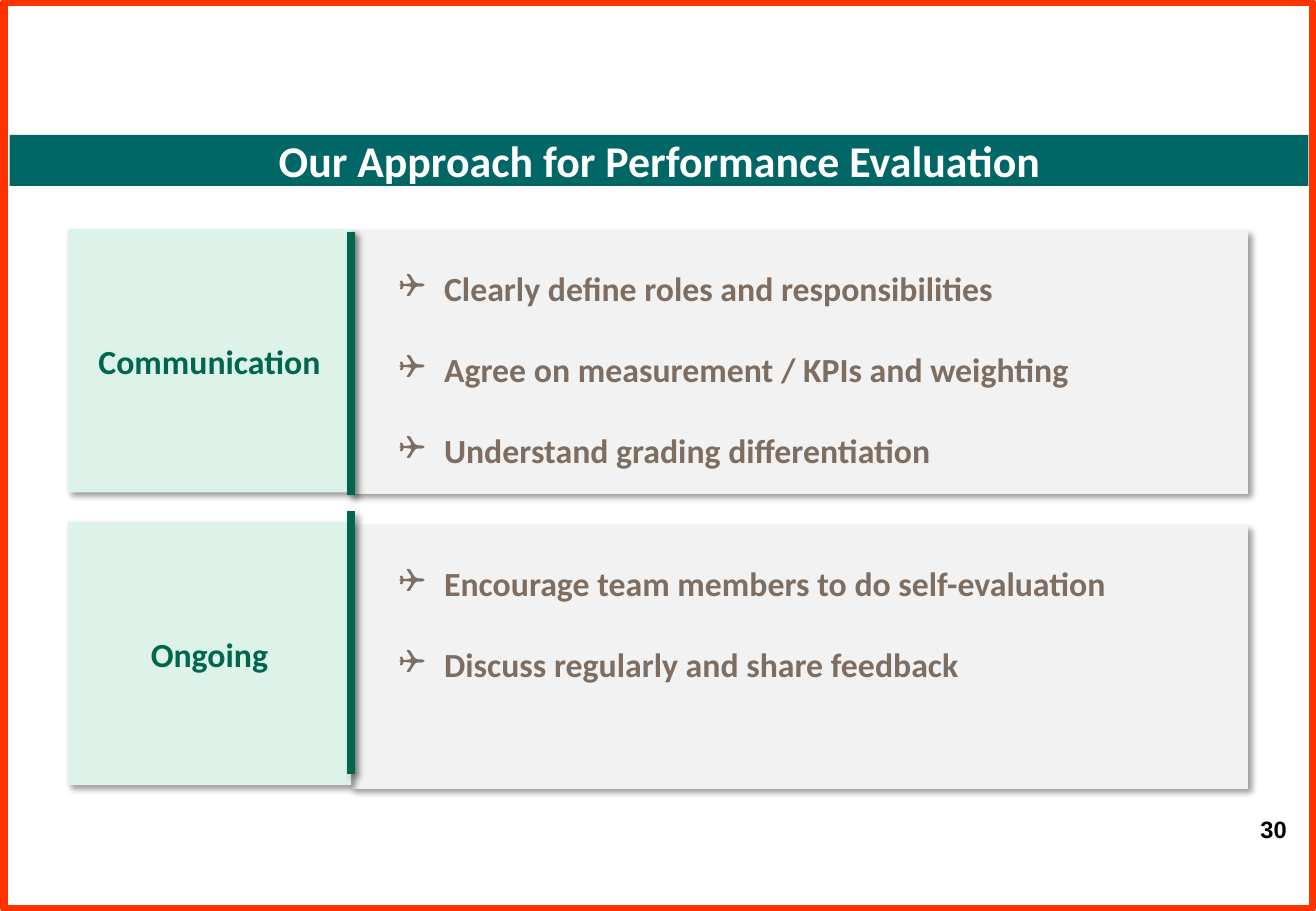
from lxml.etree import SubElement
from pptx import Presentation
from pptx.dml.color import RGBColor
from pptx.enum.shapes import MSO_CONNECTOR, MSO_SHAPE
from pptx.enum.text import MSO_ANCHOR, MSO_AUTO_SIZE, PP_ALIGN
from pptx.oxml.ns import qn
from pptx.util import Cm, Pt

TITLE = "Our Approach for Performance Evaluation"
PAGE = "30"
# label, list items, top of label, top of bar
SECTIONS = [
    ("Communication",
     ["Clearly define roles and responsibilities",
      "Agree on measurement / KPIs and weighting",
      "Understand grading differentiation"], 4.8, 4.85),
    ("Ongoing",
     ["Encourage team members to do self-evaluation",
      "Discuss regularly and share feedback"], 10.92, 10.69),
]
PANEL_TOP, PITCH, ROW_H = 4.83, 6.17, 5.5
LABEL_X, SPLIT_X, PANEL_W = 1.42, 7.34, 18.75
LIST_X, LIST_W, LIST_RISE = 8.08, 19.02, 0.2
INDENT = 0.95

FRAME, BANNER, WHITE, BLACK = "FF3300", "006666", "FFFFFF", "000000"
PANEL, MINT, GREEN, BROWN = "F2F2F2", "DDF3EA", "00664D", "7E6D61"


def rgb(color):
    return RGBColor.from_string(color)


def add_rect(s, x, y, w, h, fill=None):
    sp = s.shapes.add_shape(MSO_SHAPE.RECTANGLE, Cm(x), Cm(y), Cm(w), Cm(h))
    sp.shadow.inherit = False
    sp.line.fill.background()
    if fill:
        sp.fill.solid()
        sp.fill.fore_color.rgb = rgb(fill)
    else:
        sp.fill.background()
    return sp


def add_shadow(sp):
    """Give a shape or connector a soft shadow to the lower right."""
    props = sp.element.spPr
    effects = props.find(qn("a:effectLst"))
    if effects is None:
        effects = SubElement(props, qn("a:effectLst"))
    shadow = SubElement(effects, qn("a:outerShdw"), blurRad=str(Pt(4)),
                        dist=str(Pt(3)), dir="2700000", algn="tl", rotWithShape="0")
    color = SubElement(shadow, qn("a:srgbClr"), val=BLACK)
    SubElement(color, qn("a:alpha"), val="40000")


def write(p, text, size, color, align, font="Calibri"):
    p.alignment = align
    r = p.add_run()
    r.text = text
    r.font.name = font
    r.font.size = Pt(size)
    r.font.bold = True
    r.font.color.rgb = rgb(color)


def place(s, sp, x, y, w, h, anchor):
    """Move a placeholder and bring it to the front."""
    sp.left, sp.top, sp.width, sp.height = Cm(x), Cm(y), Cm(w), Cm(h)
    s.shapes.element.append(sp.element)
    tf = sp.text_frame
    tf.auto_size = MSO_AUTO_SIZE.NONE
    tf.vertical_anchor = anchor
    tf.word_wrap = True
    return tf


def write_list(tf, items):
    for i, item in enumerate(items):
        p = tf.add_paragraph() if i else tf.paragraphs[0]
        write(p, item, 20, BROWN, PP_ALIGN.LEFT)
        p.line_spacing = 2.0
        p.space_before = p.space_after = Pt(0)
        props = p._p.get_or_add_pPr()
        props.set("marL", str(Cm(INDENT)))
        props.set("indent", str(-Cm(INDENT)))
        SubElement(props, qn("a:buFont"), typeface="Wingdings")
        SubElement(props, qn("a:buChar"), char="❑")


def main():
    prs = Presentation()
    prs.slide_width, prs.slide_height = Cm(27.51), Cm(19.05)
    s = prs.slides.add_slide(prs.slide_layouts[3])
    title, *lists = s.placeholders

    frame = add_rect(s, 0.08, 0.05, 27.36, 18.95)
    frame.line.color.rgb = rgb(FRAME)
    frame.line.width = Pt(4.5)

    add_rect(s, 0.2, 2.82, 27.15, 1.07, BANNER)
    tf = place(s, title, 0.84, 2.82, 25.91, 1.04, MSO_ANCHOR.MIDDLE)
    write(tf.paragraphs[0], TITLE, 26, WHITE, PP_ALIGN.CENTER)

    for i, (name, items, label_y, bar_y) in enumerate(SECTIONS):
        y = PANEL_TOP + i * PITCH
        add_shadow(add_rect(s, SPLIT_X, y, PANEL_W, ROW_H, PANEL))
        tf = place(s, lists[i], LIST_X, y - LIST_RISE, LIST_W,
                   ROW_H + LIST_RISE, MSO_ANCHOR.TOP)
        write_list(tf, items)

        label = add_rect(s, LABEL_X, label_y, SPLIT_X - LABEL_X, ROW_H, MINT)
        add_shadow(label)
        label.text_frame.vertical_anchor = MSO_ANCHOR.MIDDLE
        write(label.text_frame.paragraphs[0], name, 20, GREEN, PP_ALIGN.CENTER)

        bar = s.shapes.add_connector(MSO_CONNECTOR.STRAIGHT, Cm(SPLIT_X), Cm(bar_y),
                                     Cm(SPLIT_X), Cm(bar_y + ROW_H))
        bar.line.color.rgb = rgb(GREEN)
        bar.line.width = Pt(4.5)
        add_shadow(bar)

    number = s.shapes.add_textbox(Cm(26.03), Cm(16.92), Cm(1.12), Cm(0.84))
    number.text_frame.word_wrap = False
    write(number.text_frame.paragraphs[0], PAGE, 14, BLACK, PP_ALIGN.RIGHT, "Arial")

    prs.save("out.pptx")


if __name__ == "__main__":
    main()
